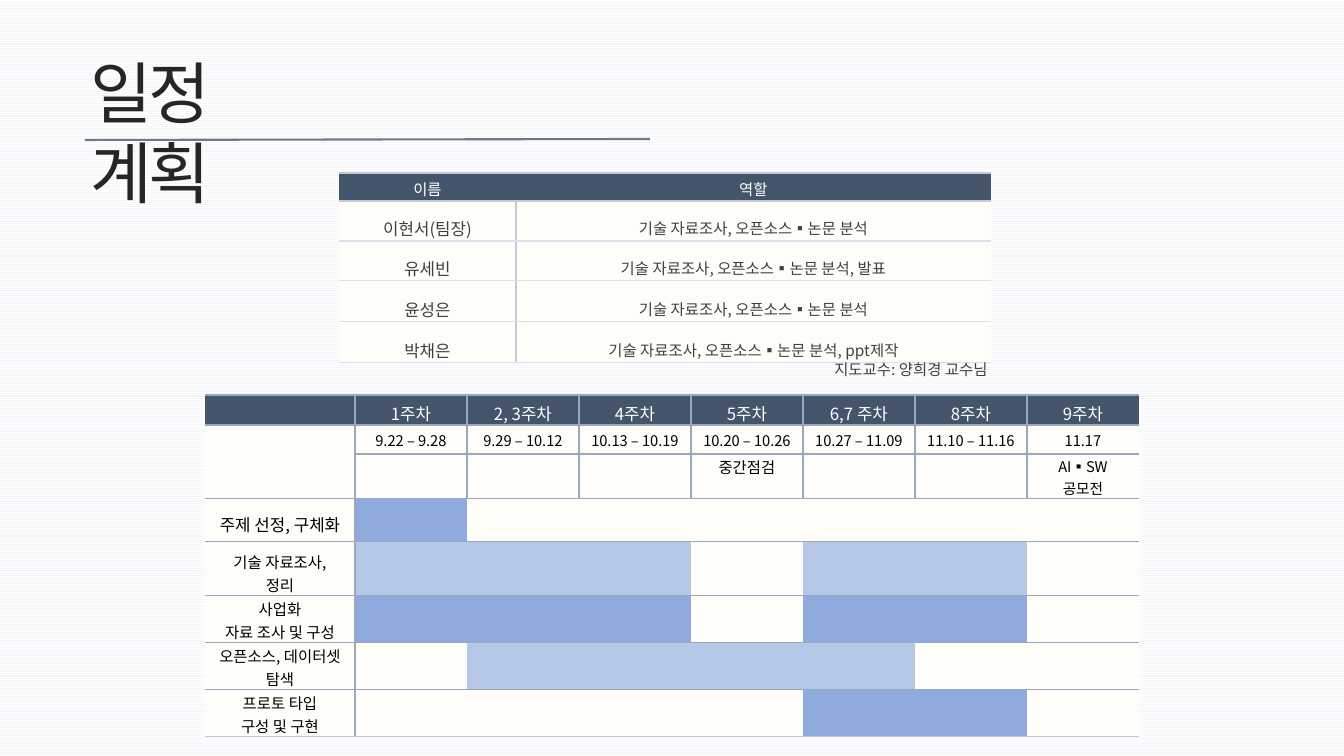
import lxml.etree
import pptx
import pptx.dml.color
import pptx.enum.dml
import pptx.enum.shapes
import pptx.enum.text
import pptx.oxml.ns
import pptx.util

RGB = pptx.dml.color.RGBColor
NAVY = RGB(0x44, 0x54, 0x6A)
WHITE = RGB(0xFF, 0xFF, 0xFF)
PALE = RGB(0xF5, 0xF6, 0xF9)
CREAM = RGB(0xFF, 0xFD, 0xF7)
INK = RGB(0x26, 0x26, 0x26)
GRAY = RGB(0x40, 0x40, 0x40)
BLACK = RGB(0x00, 0x00, 0x00)
BLUE = RGB(0x8F, 0xAA, 0xDC)
SKY = RGB(0xB4, 0xC7, 0xE7)
RULE = RGB(0x99, 0xA8, 0xBD)
RULE_SOFT = RGB(0xC2, 0xCB, 0xD8)
RULE_PALE = RGB(0xDC, 0xE0, 0xE9)
FONT = "Noto Sans CJK KR"
EMU_PER_PX = 914400 / 100.8
NO_STYLE = "{2D5ABB26-0587-4C30-8999-92F81FD0307C}"
CENTER = pptx.enum.text.PP_ALIGN.CENTER
MIDDLE = pptx.enum.text.MSO_ANCHOR.MIDDLE
TOP = pptx.enum.text.MSO_ANCHOR.TOP

ROLES = [
    ("이름", "역할"),
    ("이현서(팀장)", "기술 자료조사, 오픈소스▪논문 분석"),
    ("유세빈", "기술 자료조사, 오픈소스▪논문 분석, 발표"),
    ("윤성은", "기술 자료조사, 오픈소스▪논문 분석"),
    ("박채은", "기술 자료조사, 오픈소스▪논문 분석, ppt제작"),
]
WEEKS = [
    (30, 6, 12, ["", "1주차", "2, 3주차", "4주차", "5주차", "6,7 주차", "8주차", "9주차"]),
    (29, 5, 10.5, ["", "9.22 – 9.28", "9.29 – 10.12", "10.13 – 10.19",
                   "10.20 – 10.26", "10.27 – 11.09", "11.10 – 11.16", "11.17"]),
    (45, 2, 10.5, ["", "", "", "", "중간점검", "", "", "AI▪SW\n공모전"]),
]
TASKS = [
    (43, 13, 12, "주제 선정, 구체화", BLUE, [1]),
    (54, 9, 11, "기술 자료조사,\n정리", SKY, [1, 2, 3, 5, 6]),
    (47, 2, 11, "사업화\n자료 조사 및 구성", BLUE, [1, 2, 3, 5, 6]),
    (47, 2, 11, "오픈소스, 데이터셋\n탐색", SKY, [2, 3, 4, 5]),
    (47, 2, 11, "프로토 타입\n구성 및 구현", BLUE, [5, 6]),
]


def px(n):
    """Turn whole px into EMU."""
    return pptx.util.Emu(round(n * EMU_PER_PX))


def sub(parent, tag, **attrs):
    """Append a DrawingML element."""
    return lxml.etree.SubElement(parent, pptx.oxml.ns.qn(tag), **attrs)


def write(tf, text, size=11, color=GRAY, align=CENTER, spacing=None, tracking=None):
    """Fill a text frame, one paragraph per line of text."""
    for i, line in enumerate(text.split("\n")):
        p = tf.add_paragraph() if i else tf.paragraphs[0]
        p.alignment = align
        p.line_spacing = spacing
        if not line:
            sub(p._p, "a:endParaRPr", sz=str(int(size * 100)))
            continue
        r = p.add_run()
        r.text = line
        r.font.size = pptx.util.Pt(size)
        r.font.name = FONT
        r.font.color.rgb = color
        rPr = r.font._element
        sub(rPr, "a:ea", typeface=FONT)
        if tracking:
            rPr.set("spc", str(tracking))


def add_text(s, box, text, **fmt):
    """Place a wrapping text box."""
    tf = s.shapes.add_textbox(*map(px, box)).text_frame
    tf.word_wrap = True
    write(tf, text, **fmt)


def add_grid(s, x, y, widths, heights):
    """Place an unstyled table with the given column and row sizes."""
    shape = s.shapes.add_table(len(heights), len(widths), px(x), px(y),
                               px(sum(widths)), px(sum(heights)))
    table = shape.table
    table.horz_banding = False
    table._tbl.tblPr.find(pptx.oxml.ns.qn("a:tableStyleId")).text = NO_STYLE
    for column, width in zip(table.columns, widths):
        column.width = px(width)
    for row, height in zip(table.rows, heights):
        row.height = px(height)
    return table


def style_cell(cell, fill, borders, top=0, anchor=TOP):
    """Set the borders, fill, margins and anchor of a cell."""
    tcPr = cell._tc.get_or_add_tcPr()
    for side in "LRTB":
        ln = sub(tcPr, "a:ln" + side, w="12700")
        if side in borders:
            sub(sub(ln, "a:solidFill"), "a:srgbClr", val=str(borders[side]))
        else:
            sub(ln, "a:noFill")
    cell.fill.solid()
    cell.fill.fore_color.rgb = fill
    cell.margin_left = cell.margin_right = cell.margin_bottom = 0
    cell.margin_top = px(top)
    cell.vertical_anchor = anchor


def add_heading(s, x, y):
    """Place the title and the rule between its lines."""
    add_text(s, (x, y, 244, 174), "일정 계획", size=48, color=INK,
             align=pptx.enum.text.PP_ALIGN.LEFT, spacing=1.0, tracking=-300)
    line = s.shapes.add_connector(pptx.enum.shapes.MSO_CONNECTOR.STRAIGHT,
                                  px(x + 4), px(y + 94), px(x + 569), px(y + 93))
    line.line.color.rgb = NAVY
    line.line.width = pptx.util.Pt(1.5)
    color = line._element.spPr.find(".//" + pptx.oxml.ns.qn("a:srgbClr"))
    sub(color, "a:alpha", val="76000")
    sub(line._element.spPr, "a:effectLst")


def add_roles(s, x, y):
    """Place the table of members and their roles."""
    table = add_grid(s, x, y, [177, 475], [28, 40, 40, 41, 41])
    for i, row in enumerate(ROLES):
        for j, text in enumerate(row):
            cell = table.cell(i, j)
            borders = {"T": RULE_PALE if i > 1 else RULE_SOFT,
                       "B": RULE_PALE if i else RULE_SOFT}
            if i:
                borders["L" if j else "R"] = RULE_SOFT
            style_cell(cell, CREAM if i else NAVY, borders, 3, MIDDLE)
            write(cell.text_frame, text, size=12 if i and not j else 11,
                  color=GRAY if i else WHITE, spacing=1.5 if i else None)


def add_schedule(s, x, y):
    """Place the weekly schedule with its task bars."""
    rows = [(h, top, size, texts, None, []) for h, top, size, texts in WEEKS]
    rows += [(h, top, size, [name] + [""] * 7, bar, weeks)
             for h, top, size, name, bar, weeks in TASKS]
    table = add_grid(s, x, y, [150] + [112] * 7, [row[0] for row in rows])
    table.cell(1, 0).merge(table.cell(2, 0))
    for i, (_, top, size, texts, bar, weeks) in enumerate(rows):
        for j, text in enumerate(texts):
            cell = table.cell(i, j)
            if cell.is_spanned:
                continue
            borders = {"T": RULE, "B": RULE if i < len(rows) - 1 else RULE_SOFT}
            in_weeks = i < len(WEEKS)
            if j == 1 or (j and in_weeks):
                borders["L"] = RULE
            if j == 0 or (j < 7 and in_weeks):
                borders["R"] = RULE
            fill = NAVY if i == 0 else bar if j in weeks else CREAM
            style_cell(cell, fill, borders, top)
            write(cell.text_frame, text, size=11 if text == "중간점검" else size,
                  color=BLACK if i else WHITE)


def add_plan(prs):
    """Build the schedule plan slide."""
    s = prs.slides.add_slide(prs.slide_layouts[6])
    fill = s.background.fill
    fill.patterned()
    fill.pattern = pptx.enum.dml.MSO_PATTERN.LIGHT_HORIZONTAL
    fill.fore_color.rgb = PALE
    fill.back_color.rgb = WHITE
    add_heading(s, 81, 46)
    add_roles(s, 339, 173)
    add_schedule(s, 205, 395)
    add_text(s, (575, 346, 672, 35), "지도교수: 양희경 교수님", spacing=1.5)


def main():
    """Create and save the presentation."""
    prs = pptx.Presentation()
    prs.slide_width = px(1344)
    prs.slide_height = px(756)
    add_plan(prs)
    prs.save("out.pptx")


if __name__ == "__main__":
    main()
